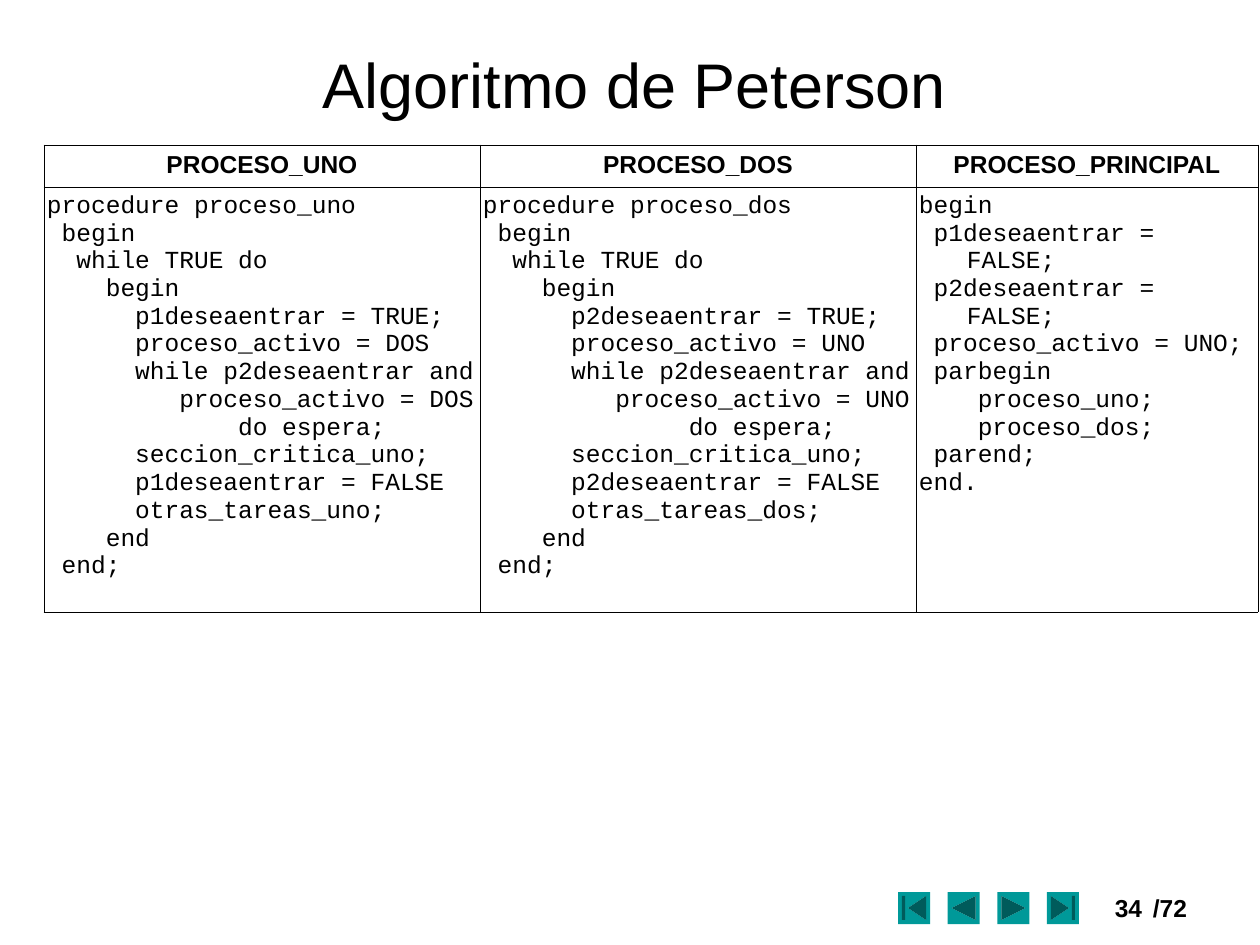
from lxml.etree import SubElement
from pptx import Presentation
from pptx.dml.color import RGBColor
from pptx.enum.shapes import MSO_SHAPE
from pptx.enum.text import MSO_ANCHOR, MSO_AUTO_SIZE, PP_ALIGN
from pptx.oxml.ns import qn
from pptx.util import Pt

# Content: code lines are (indent in characters, text)
TITLE = "Algoritmo de Peterson"
PROCEDURE = [
    (0, "procedure proceso_{name}"),
    (1, "begin"),
    (2, "while TRUE do"),
    (4, "begin"),
    (6, "{flag} = TRUE;"),
    (6, "proceso_activo = {other}"),
    (6, "while p2deseaentrar and"),
    (9, "proceso_activo = {other}"),
    ("wait", "do espera;"),
    (6, "seccion_critica_uno;"),
    (6, "{flag} = FALSE"),
    (6, "otras_tareas_{name};"),
    (4, "end"),
    (1, "end;"),
]
VARIANTS = [
    {"name": "uno", "flag": "p1deseaentrar", "other": "DOS", "wait": 13},
    {"name": "dos", "flag": "p2deseaentrar", "other": "UNO", "wait": 14},
]
MAIN = [
    (0, "begin"),
    (1, "p1deseaentrar = FALSE;"),
    (1, "p2deseaentrar = FALSE;"),
    (1, "proceso_activo = UNO;"),
    (1, "parbegin"),
    (4, "proceso_uno;"),
    (4, "proceso_dos;"),
    (1, "parend;"),
    (0, "end."),
]
HEADINGS = ["PROCESO_UNO", "PROCESO_DOS", "PROCESO_PRINCIPAL"]
BUTTONS = [
    MSO_SHAPE.ACTION_BUTTON_BEGINNING,
    MSO_SHAPE.ACTION_BUTTON_BACK_OR_PREVIOUS,
    MSO_SHAPE.ACTION_BUTTON_FORWARD_OR_NEXT,
    MSO_SHAPE.ACTION_BUTTON_END,
]
PAGE_MARKS = [("34", 1087, 68, PP_ALIGN.RIGHT), ("/72", 1140, 66, PP_ALIGN.LEFT)]

THEME = {
    "ink": RGBColor(0, 0, 0),
    "button": RGBColor(0x00, 0x99, 0x99),
    "title": {"name": "Arial", "size": Pt(36), "bold": False},
    "label": {"name": "Arial", "size": Pt(14), "bold": True},
    "code": {"name": "Courier New", "size": Pt(14), "bold": False},
    "border": Pt(0.45),
}

# Layout in px
COLUMNS, ROWS = [436, 436, 342], [42, 425]
TABLE_LEFT, TABLE_TOP = 44, 145
BUTTON_LEFT, BUTTON_TOP, BUTTON_SIZE, BUTTON_SPAN = 898, 892, 32, 149
HANG = 48
CHARACTER = Pt(8.4)  # advance of Courier New at 14 pt


def px(length):
    return round(length * 914400 / 126)


def apply(target, values):
    for key, value in values.items():
        setattr(target, key, value)


def write(paragraph, text, font, alignment):
    paragraph.alignment = alignment
    run = paragraph.add_run()
    run.text = text
    apply(run.font, font)
    run.font.color.rgb = THEME["ink"]


def add_label(slide, text, box, font, alignment, inset, anchor):
    frame = slide.shapes.add_textbox(*map(px, box)).text_frame
    apply(frame, {
        "word_wrap": True, "auto_size": MSO_AUTO_SIZE.SHAPE_TO_FIT_TEXT,
        "vertical_anchor": anchor,
        "margin_left": px(inset[0]), "margin_right": px(inset[0]),
        "margin_top": px(inset[1]), "margin_bottom": px(inset[1]),
    })
    write(frame.paragraphs[0], text, font, alignment)


def format_cell(cell):
    apply(cell, {"margin_left": px(3), "margin_right": px(3),
                 "margin_top": px(6), "margin_bottom": px(6)})
    properties = cell._tc.get_or_add_tcPr()
    for side in ("lnL", "lnR", "lnT", "lnB"):
        border = SubElement(properties, qn(f"a:{side}"), w=str(THEME["border"]))
        fill = SubElement(border, qn("a:solidFill"))
        SubElement(fill, qn("a:srgbClr"), val=str(THEME["ink"]))
    cell.fill.background()


def write_code(cell, lines, alignment):
    frame = cell.text_frame
    for number, (indent, text) in enumerate(lines):
        paragraph = frame.add_paragraph() if number else frame.paragraphs[0]
        write(paragraph, text, THEME["code"], alignment)
        # Wrapped lines hang at one fixed margin
        properties = paragraph._p.get_or_add_pPr()
        properties.set("marL", str(px(HANG)))
        properties.set("indent", str(indent * CHARACTER - px(HANG)))


def main():
    deck = Presentation()
    apply(deck, {"slide_width": px(1260), "slide_height": px(945)})
    slide = deck.slides.add_slide(deck.slide_layouts[6])

    # Navigation buttons
    for number, kind in enumerate(BUTTONS):
        left = BUTTON_LEFT + number * BUTTON_SPAN / (len(BUTTONS) - 1)
        button = slide.shapes.add_shape(
            kind, *map(px, (left, BUTTON_TOP, BUTTON_SIZE, BUTTON_SIZE)))
        button.shadow.inherit = False
        button.fill.solid()
        button.fill.fore_color.rgb = THEME["button"]
        button.line.fill.background()

    # Page number and title
    for text, left, width, alignment in PAGE_MARKS:
        add_label(slide, text, (left, 887, width, 42), THEME["label"],
                  alignment, (13, 6), MSO_ANCHOR.TOP)
    add_label(slide, TITLE, (44, 43, 1181, 81), THEME["title"],
              PP_ALIGN.CENTER, (3, 3), MSO_ANCHOR.MIDDLE)

    # Table of processes
    table = slide.shapes.add_table(
        len(ROWS), len(COLUMNS),
        *map(px, (TABLE_LEFT, TABLE_TOP, sum(COLUMNS), sum(ROWS)))).table
    apply(table, {"first_row": False, "horz_banding": False})
    for column, width in zip(table.columns, COLUMNS):
        column.width = px(width)
    for row, height in zip(table.rows, ROWS):
        row.height = px(height)
    for cell in table.iter_cells():
        format_cell(cell)

    programs = [
        ([(variant.get(indent, indent), text.format(**variant))
          for indent, text in PROCEDURE], PP_ALIGN.JUSTIFY)
        for variant in VARIANTS
    ] + [(MAIN, PP_ALIGN.LEFT)]
    for number, (heading, program) in enumerate(zip(HEADINGS, programs)):
        write(table.cell(0, number).text_frame.paragraphs[0], heading,
              THEME["label"], PP_ALIGN.CENTER)
        write_code(table.cell(1, number), *program)

    deck.save("out.pptx")


if __name__ == "__main__":
    main()
